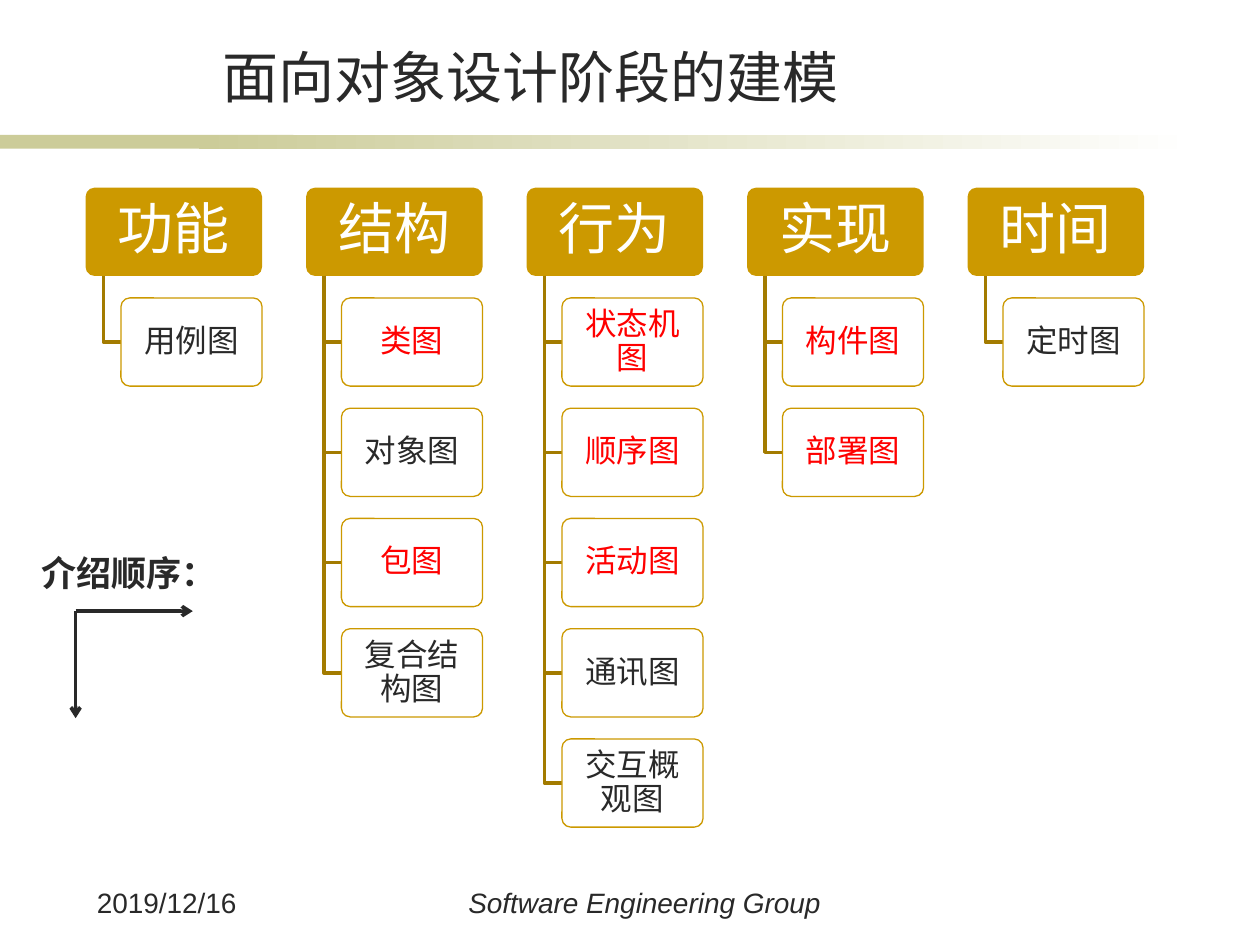
"""Build the slide on modelling in object-oriented design."""
from pptx import Presentation, util as u
from pptx.dml.color import RGBColor
from pptx.enum import shapes, text as t
from pptx.oxml.ns import qn
from lxml import etree

CJK = "Noto Sans CJK SC"
INK = RGBColor(0x29, 0x29, 0x29)
WHITE = RGBColor(0xFF, 0xFF, 0xFF)
RED = RGBColor(0xFF, 0x00, 0x00)
GOLD = RGBColor(0xCC, 0x99, 0x00)
BROWN = RGBColor(0xA3, 0x7B, 0x00)
SAND = RGBColor(0xCC, 0xCC, 0x99)

BOX_WIDTH, BOX_HEIGHT = 1.4, 0.7
NODE_WIDTH = 0.8 * BOX_WIDTH
COLUMN_PITCH, ROW_PITCH = 1.25 * BOX_WIDTH, 1.25 * BOX_HEIGHT
LEFT, TOP = 0.68, 1.49
COLUMNS = {
    "功能": ["用例图"],
    "结构": ["类图", "对象图", "包图", "复合结构图"],
    "行为": ["状态机图", "顺序图", "活动图", "通讯图", "交互概观图"],
    "实现": ["构件图", "部署图"],
    "时间": ["定时图"],
}
HIGHLIGHTED = {"类图", "包图", "状态机图", "顺序图", "活动图", "构件图", "部署图"}


def write(shape, content, size=18, font=CJK, color=INK, bold=False, italic=False,
          align=t.PP_ALIGN.CENTER, anchor=t.MSO_ANCHOR.TOP, wrap=True,
          insets=(0.1, 0.05), spacing=None):
    frame = shape.text_frame
    frame.word_wrap, frame.vertical_anchor = wrap, anchor
    frame.margin_left = frame.margin_right = u.Inches(insets[0])
    frame.margin_top = frame.margin_bottom = u.Inches(insets[1])
    paragraph = frame.paragraphs[0]
    paragraph.alignment, paragraph.line_spacing = align, spacing
    run = paragraph.add_run()
    run.text = content
    run.font.size, run.font.name = u.Pt(size), font
    run.font.bold, run.font.italic = bold, italic
    run.font.color.rgb = color
    etree.SubElement(run.font._element, qn("a:ea"), typeface=font)


class SlideBuilder:
    def __init__(self, slide):
        self.slide = slide

    def text(self, left, top, width, height, content, **style):
        box = self.slide.shapes.add_textbox(*map(u.Inches, (left, top, width, height)))
        write(box, content, **style)

    def band(self, left, top, width, height, end_color=None):
        shape = self.slide.shapes.add_shape(
            shapes.MSO_SHAPE.RECTANGLE, *map(u.Inches, (left, top, width, height)))
        shape.shadow.inherit = False
        shape.line.fill.background()
        if end_color is None:
            shape.fill.solid()
            shape.fill.fore_color.rgb = SAND
        else:
            shape.fill.gradient()
            shape.fill.gradient_angle = 0
            for stop, color in zip(shape.fill.gradient_stops, (SAND, end_color)):
                stop.color.rgb = color

    def box(self, left, top, width, fill, content, outline=None, **style):
        shape = self.slide.shapes.add_shape(
            shapes.MSO_SHAPE.ROUNDED_RECTANGLE,
            *map(u.Inches, (left, top, width, BOX_HEIGHT)))
        shape.adjustments[0] = 0.1
        shape.shadow.inherit = False
        shape.fill.solid()
        shape.fill.fore_color.rgb = fill
        if outline is None:
            shape.line.fill.background()
        else:
            shape.line.color.rgb = outline
            shape.line.width = u.Pt(0.75)
            color = shape._element.spPr.find(qn("a:solidFill"))[0]
            etree.SubElement(color, qn("a:alpha"), val="90000")
        write(shape, content, anchor=t.MSO_ANCHOR.MIDDLE, spacing=0.9, **style)

    def elbow(self, left, top, right, bottom):
        x, y, end_x, end_y = map(u.Inches, (left, top, right, bottom))
        builder = self.slide.shapes.build_freeform(x, y)
        builder.add_line_segments([(x, end_y), (end_x, end_y)], close=False)
        shape = builder.convert_to_shape()
        shape.shadow.inherit = False
        shape.fill.background()
        shape.line.color.rgb, shape.line.width = BROWN, u.Pt(2)

    def arrow(self, start, end):
        connector = self.slide.shapes.add_connector(
            shapes.MSO_CONNECTOR.STRAIGHT, *map(u.Inches, (*start, *end)))
        connector.line.color.rgb, connector.line.width = INK, u.Pt(2)
        properties = connector._element.spPr
        etree.SubElement(properties.find(qn("a:ln")), qn("a:tailEnd"), type="arrow")
        etree.SubElement(properties, qn("a:effectLst"))

    def column(self, left, heading, diagrams):
        self.box(left, TOP, BOX_WIDTH, GOLD, heading, size=32, color=WHITE,
                 insets=(0.07, 0.04))
        node_left = left + BOX_WIDTH - NODE_WIDTH
        for row, diagram in enumerate(diagrams, start=1):
            top = TOP + row * ROW_PITCH
            self.elbow(left + 0.1 * BOX_WIDTH, TOP + BOX_HEIGHT,
                       node_left, top + BOX_HEIGHT / 2)
            self.box(node_left, top, NODE_WIDTH, WHITE, diagram, outline=GOLD,
                     color=RED if diagram in HIGHLIGHTED else INK, insets=(0.04, 0.03))


def main():
    presentation = Presentation()
    presentation.slide_width, presentation.slide_height = u.Inches(10), u.Inches(7.5)
    builder = SlideBuilder(presentation.slides.add_slide(presentation.slide_layouts[6]))
    builder.band(0, 1.07, 2.33, 0.11)
    builder.band(1.58, 1.07, 7.92, 0.11, end_color=WHITE)
    builder.text(1.14, 0.29, 6.14, 0.63, "面向对象设计阶段的建模", size=32,
                 anchor=t.MSO_ANCHOR.BOTTOM)
    builder.text(0.67, 6.98, 1.41, 0.39, "2019/12/16", size=16, font="Arial",
                 align=t.PP_ALIGN.LEFT)
    builder.text(2.24, 6.98, 5.75, 0.39, "Software Engineering Group", size=16,
                 font="Arial", italic=True)
    for index, (heading, diagrams) in enumerate(COLUMNS.items()):
        builder.column(LEFT + index * COLUMN_PITCH, heading, diagrams)
    corner = (0.6, 4.85)
    builder.arrow(corner, (1.53, 4.85))
    builder.arrow(corner, (0.6, 5.7))
    builder.text(0.23, 4.33, 1.61, 0.44, "介绍顺序：", size=20, bold=True,
                 align=t.PP_ALIGN.LEFT, wrap=False)
    presentation.save("out.pptx")


if __name__ == "__main__":
    main()
